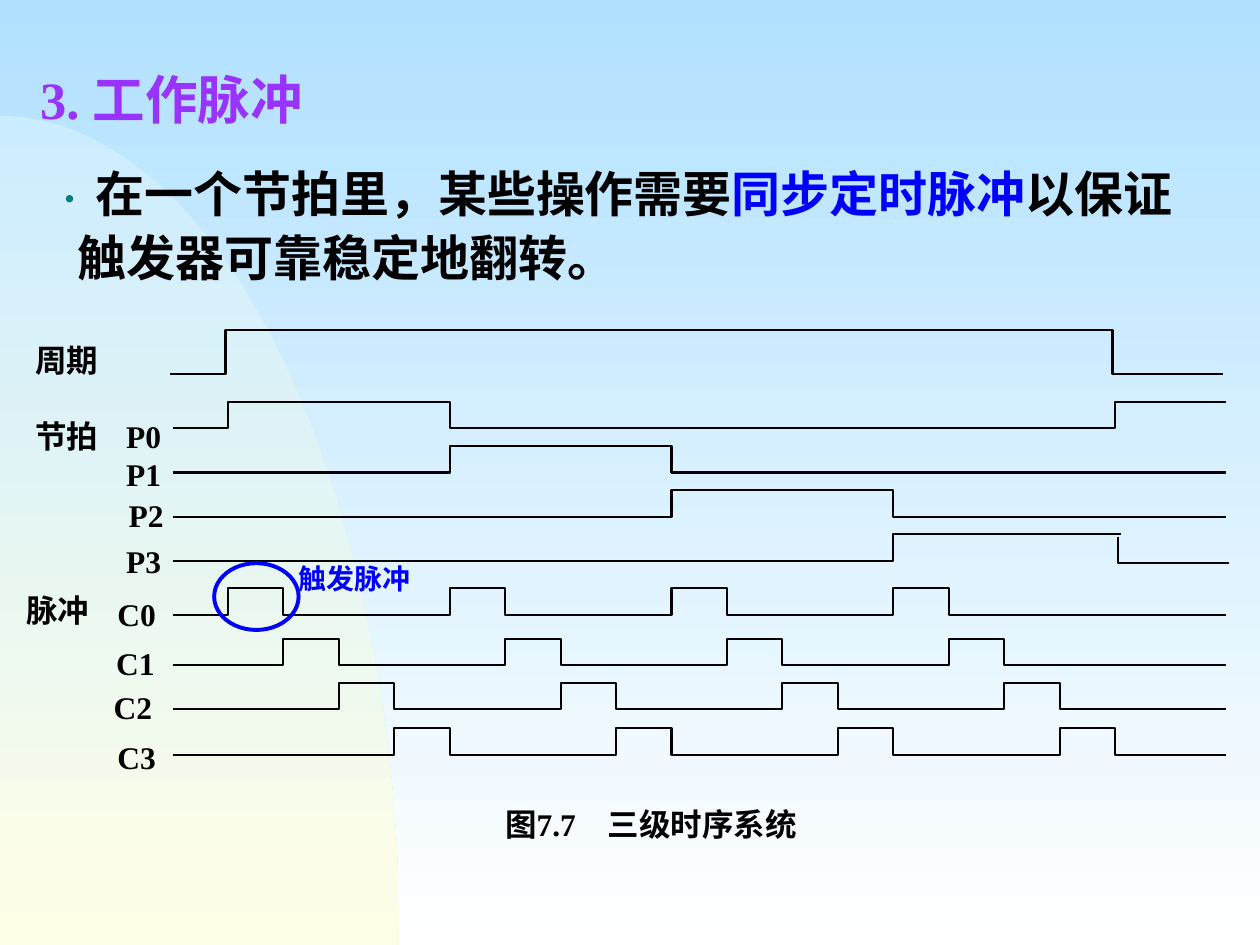
from math import cos, pi, sin

from lxml import etree
from pptx import Presentation
from pptx.dml.color import RGBColor
from pptx.enum.shapes import MSO_CONNECTOR, MSO_SHAPE
from pptx.enum.text import MSO_AUTO_SIZE, PP_ALIGN
from pptx.oxml.ns import qn
from pptx.util import Emu, Inches, Pt

LEFT, CENTER = PP_ALIGN.LEFT, PP_ALIGN.CENTER
GROW, FIXED = MSO_AUTO_SIZE.SHAPE_TO_FIT_TEXT, MSO_AUTO_SIZE.NONE
OVAL, STRAIGHT = MSO_SHAPE.OVAL, MSO_CONNECTOR.STRAIGHT

COLUMNS, ROWS = 100, 75
CELL = Inches(0.1)
WAVE_LEFT, STEP, WAVE_END = 13.7, 4.4, 19
BEAT, PULSE_HEIGHT = 4, 2.1

COLORS = {
    "sky_top": "B1E1FF", "sky_bottom": "FFFFFF",
    "hill_top": "CCECFF", "hill_bottom": "FFFFE7",
    "title": "9933FF", "bullet": "008080", "ink": "000000", "accent": "0000FF",
}
SERIF, SANS, CJK = "Times New Roman", "Arial", "Noto Sans CJK SC"
FORMATS = {
    "title": {"size": Pt(30), "bold": True, "name": SERIF},
    "bullet": {"size": Pt(20), "bold": False, "name": SANS},
    "body": {"size": Pt(28), "bold": True, "name": CJK},
    "label": {"size": Pt(18), "bold": True, "name": SERIF},
    "callout": {"size": Pt(16), "bold": True, "name": CJK},
}


def cells(count):
    return Emu(round(count * CELL))


def color(name):
    return RGBColor.from_string(COLORS[name])


class TimingSlide:
    def __init__(self, slide):
        self.slide = slide
        self.shapes = slide.shapes

    def gradient(self, fill, *names):
        fill.gradient()
        fill.gradient_angle = 270
        for stop, name in zip(fill.gradient_stops, names):
            stop.color.rgb = color(name)

    def background(self, top, bottom):
        self.gradient(self.slide.background.fill, top, bottom)

    def outline(self, shape, name="ink", width=1.19):
        shape.line.color.rgb = color(name)
        shape.line.width = Pt(width)

    def freeform(self, points, close):
        corners = [(cells(x), cells(y)) for x, y in points]
        builder = self.shapes.build_freeform(*corners[0], scale=1.0)
        builder.add_line_segments(corners[1:], close=close)
        shape = builder.convert_to_shape()
        shape.shadow.inherit = False
        return shape

    def hill(self, width, height, segments=60):
        angles = [pi / 2 * i / segments for i in range(segments + 1)]
        curve = [(width * sin(a), ROWS - height * cos(a)) for a in angles]
        shape = self.freeform(curve + [(0, ROWS)], True)
        self.gradient(shape.fill, "hill_top", "hill_bottom")
        shape.line.fill.background()

    def wave(self, low, edges, height=PULSE_HEIGHT, start=0, end=WAVE_END,
             shift=0, high=False):
        levels = [low, low - height]
        points = [(start, levels[high])]
        for edge in edges:
            points += [(edge, levels[high]), (edge, levels[not high])]
            high = not high
        points.append((end, levels[high]))
        placed = [(WAVE_LEFT + shift + step * STEP, y)
                  for step, y in dict.fromkeys(points)]
        shape = self.freeform(placed, False)
        shape.fill.background()
        self.outline(shape)

    def line(self, left, right, row):
        connector = self.shapes.add_connector(
            STRAIGHT, cells(left), cells(row), cells(right), cells(row))
        self.outline(connector)
        etree.SubElement(connector._element.spPr, qn("a:effectLst"))

    def ring(self, *box):
        shape = self.shapes.add_shape(OVAL, *map(cells, box))
        shape.shadow.inherit = False
        shape.fill.background()
        self.outline(shape, "accent", 2.25)

    def text(self, box, runs, align=LEFT, inset=True, wrap=False,
             auto_size=GROW, hanging=0, spacing=None):
        frame = self.shapes.add_textbox(*map(cells, box)).text_frame
        across, down = (cells(1), cells(0.5)) if inset else (0, 0)
        settings = {"word_wrap": wrap, "auto_size": auto_size,
                    "margin_left": across, "margin_right": across,
                    "margin_top": down, "margin_bottom": down}
        for key, value in settings.items():
            setattr(frame, key, value)
        paragraph = frame.paragraphs[0]
        paragraph.alignment = align
        paragraph.line_spacing = spacing
        if hanging:
            properties = paragraph._p.get_or_add_pPr()
            properties.set("marL", str(cells(hanging)))
            properties.set("indent", str(-cells(hanging)))
        for words, style, ink in runs:
            run = paragraph.add_run()
            run.text = words
            for key, value in FORMATS[style].items():
                setattr(run.font, key, value)
            run.font.color.rgb = color(ink)
            etree.SubElement(run._r.get_or_add_rPr(), qn("a:ea"), typeface=CJK)

    def label(self, words, left, top, width):
        self.text((left, top, width, 3), [(words, "label", "ink")], CENTER, inset=False)


def main():
    deck = Presentation()
    deck.slide_width, deck.slide_height = cells(COLUMNS), cells(ROWS)
    page = TimingSlide(deck.slides.add_slide(deck.slide_layouts[6]))

    page.background("sky_top", "sky_bottom")
    page.hill(31.7, 65.8)
    page.text((2.2, 4.8, 25.9, 6), [("3. 工作脉冲", "title", "title")])
    page.text((3.2, 12, 91.8, 11.3), [
        ("• ", "bullet", "bullet"),
        ("在一个节拍里，某些操作需要", "body", "ink"),
        ("同步定时脉冲", "body", "accent"),
        ("以保证触发器可靠稳定地翻转。", "body", "ink"),
    ], wrap=True, hanging=2, spacing=1.1)

    first, last = 1, 1 + 4 * BEAT
    page.wave(29.7, [first, last], height=3.5, shift=-0.2)
    page.wave(34, [first, first + BEAT, last])
    for beat, low in enumerate([37.5, 41], 1):
        rise = first + beat * BEAT
        page.wave(low, [rise, rise + BEAT])
    page.wave(44.5, [last - BEAT], end=last - 1)
    page.line(80.2, 89, 42.4)
    page.wave(44.7, [last], start=last, shift=0.2, high=True)
    for phase, low in enumerate([48.8, 52.8, 56.3, 59.9]):
        rises = range(first + phase, last, BEAT)
        page.wave(low, [edge for rise in rises for edge in (rise, rise + 1)])

    for words, left, top in [("周期", 2.8, 27.1), ("节拍", 2.8, 33.1), ("脉冲", 2.1, 46.9)]:
        page.label(words, left, top, 5)
    for beat, (left, top) in enumerate([(10, 33.1), (10, 36.1), (10.2, 39.4), (10, 43)]):
        page.label(f"P{beat}", left, top, 2.8)
    for phase, (left, top) in enumerate([(9.3, 47.2), (9.2, 51.1), (9, 54.6), (9.3, 58.6)]):
        page.label(f"C{phase}", left, top, 3.1)

    page.text((34.2, 63.4, 34.9, 4.1), [("图7.7　三级时序系统", "label", "ink")],
              CENTER, wrap=True, auto_size=FIXED)
    page.ring(17, 44.7, 6.7, 5.3)
    page.text((22.7, 44.1, 11.4, 3.7), [("触发脉冲", "callout", "accent")])
    deck.save("out.pptx")


if __name__ == "__main__":
    main()
